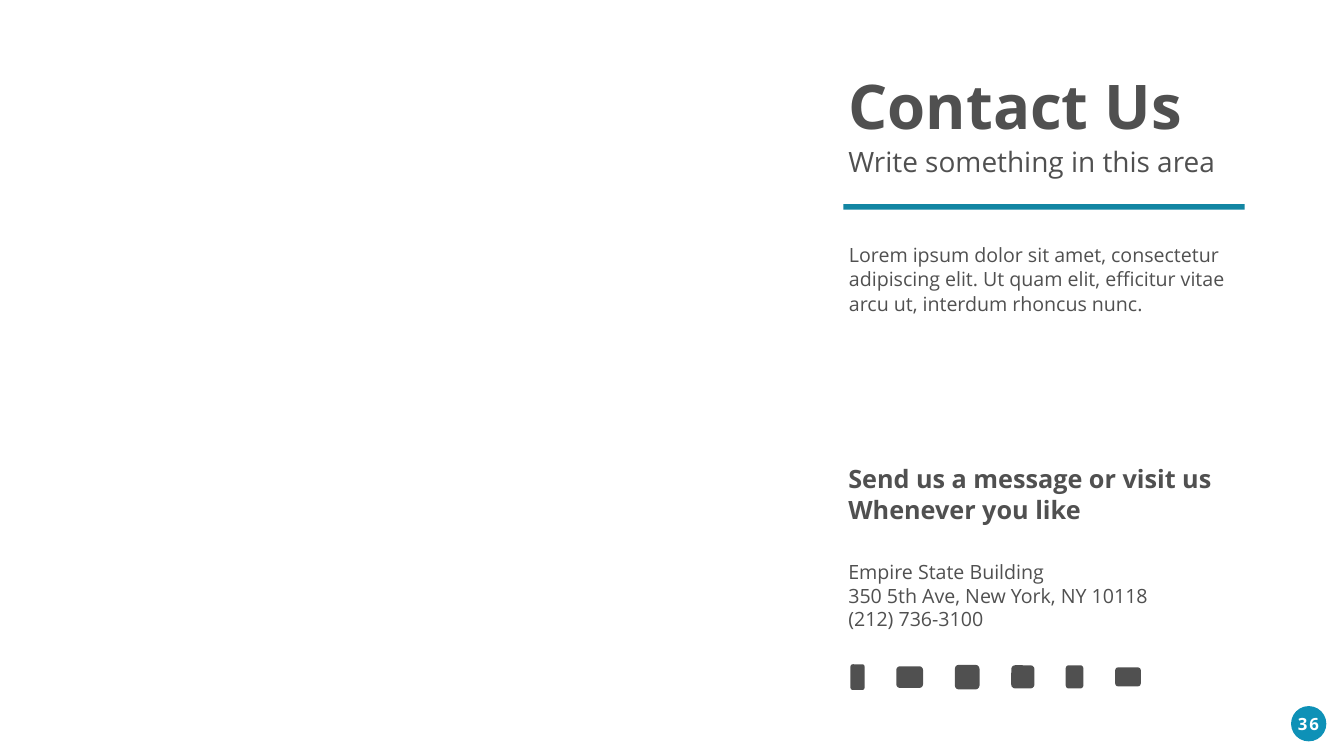
from pptx import Presentation
from pptx.dml.color import RGBColor
from pptx.enum import shapes, text
from pptx.util import Emu, Pt

PX = 9144  # 100 px to the inch
FONT = "Open Sans"
COLORS = {"ink": "505050", "rule": "1386A3", "badge": "0E91B7", "white": "FFFFFF"}


def place(shape, left, top, width, height):
    shape.left, shape.top, shape.width, shape.height = (
        Emu(value * PX) for value in (left, top, width, height))


def add_block(page, kind, box, color):
    block = page.shapes.add_shape(kind, *(Emu(value * PX) for value in box))
    block.shadow.inherit = False
    block.fill.solid()
    block.fill.fore_color.rgb = RGBColor.from_string(COLORS[color])
    block.line.fill.background()
    return block


def write(shape, lines, size, bold=False, color="ink", align=text.PP_ALIGN.LEFT, inset=(10, 5)):
    frame = shape.text_frame
    frame.word_wrap = True
    frame.auto_size = text.MSO_AUTO_SIZE.NONE
    frame.vertical_anchor = text.MSO_ANCHOR.TOP
    frame.margin_left = frame.margin_right = Emu(inset[0] * PX)
    frame.margin_top = frame.margin_bottom = Emu(inset[1] * PX)
    for index, line in enumerate(lines):
        para = frame.add_paragraph() if index else frame.paragraphs[0]
        para.alignment = align
        span = para.add_run()
        span.text = line
        span.font.name = FONT
        span.font.size = Pt(size)
        span.font.bold = bold
        span.font.color.rgb = RGBColor.from_string(COLORS[color])
    return frame


def add_text(page, box, lines, size, **style):
    shape = page.shapes.add_textbox(*(Emu(value * PX) for value in box))
    return write(shape, lines, size, **style)


def add_heading(page, left, top, width):
    # Title, subtitle and the rule below them
    title = page.shapes.title
    place(title, left, top, width, 158)
    write(title, ["Contact Us"], 88, bold=True)
    add_text(page, (left, top + 152, width, 77), ["Write something in this area"], 40)
    add_block(page, shapes.MSO_SHAPE.RECTANGLE, (left, top + 275, width, 11), "rule")


def add_intro(page, left, top, width, height):
    body = page.placeholders[1]
    place(body, left, top, width, height)
    frame = write(body, ["Lorem ipsum dolor sit amet, consectetur adipiscing elit. "
                         "Ut quam elit, efficitur vitae arcu ut, interdum rhoncus nunc."],
                  28, inset=(24, 12))
    para = frame.paragraphs[0]
    para.line_spacing = Pt(35)
    # No bullet and no hanging indent
    properties = para._p.get_or_add_pPr()
    properties.set("marL", "0")
    properties.set("indent", "0")
    properties.insert_element_before(
        properties.makeelement("{http://schemas.openxmlformats.org/drawingml/2006/main}buNone"),
        "a:tabLst", "a:defRPr", "a:extLst")


def add_contact(page, left, top, width):
    add_text(page, (left, top, width, 131),
             ["Send us a message or visit us", "Whenever you like"], 36, bold=True)
    add_text(page, (left, top + 191, width, 151),
             ["Empire State Building", "350 5th Ave, New York, NY 10118", "(212) 736-3100"], 28)
    # One plain marker for each social channel: offset from the left, width, height
    markers = [(14, 28, 51), (105, 53, 43), (221, 49, 49),
               (333, 46, 46), (441, 35, 46), (539, 51, 38)]
    for offset, wide, high in markers:
        add_block(page, shapes.MSO_SHAPE.ROUNDED_RECTANGLE,
                  (left + offset, top + 428 - high // 2, wide, high), "ink")


def add_page_number(page, left, top, size, number):
    add_block(page, shapes.MSO_SHAPE.OVAL, (left, top, size, size), "badge")
    frame = add_text(page, (left - 5, top + 10, size + 9, 50), [number], 24, bold=True,
                     color="white", align=text.PP_ALIGN.CENTER)
    frame.paragraphs[0].runs[0]._r.get_or_add_rPr().set("spc", "300")


def main():
    deck = Presentation()
    deck.slide_width, deck.slide_height = Emu(2666 * PX), Emu(1500 * PX)
    page = deck.slides.add_slide(deck.slide_layouts[1])
    add_page_number(page, 2561, 1401, 70, "36")
    add_contact(page, 1673, 915, 796)
    add_intro(page, 1660, 467, 874, 168)
    add_heading(page, 1673, 130, 796)
    deck.save("out.pptx")


if __name__ == "__main__":
    main()
